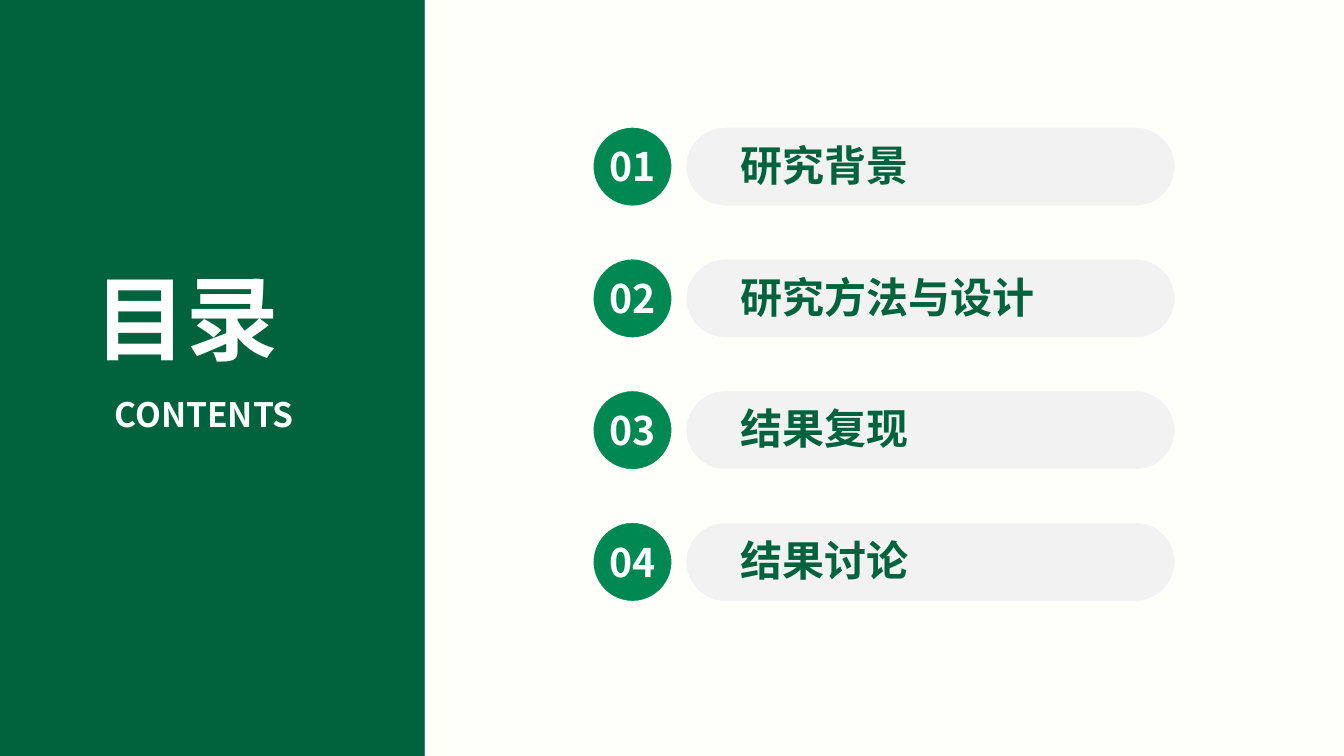
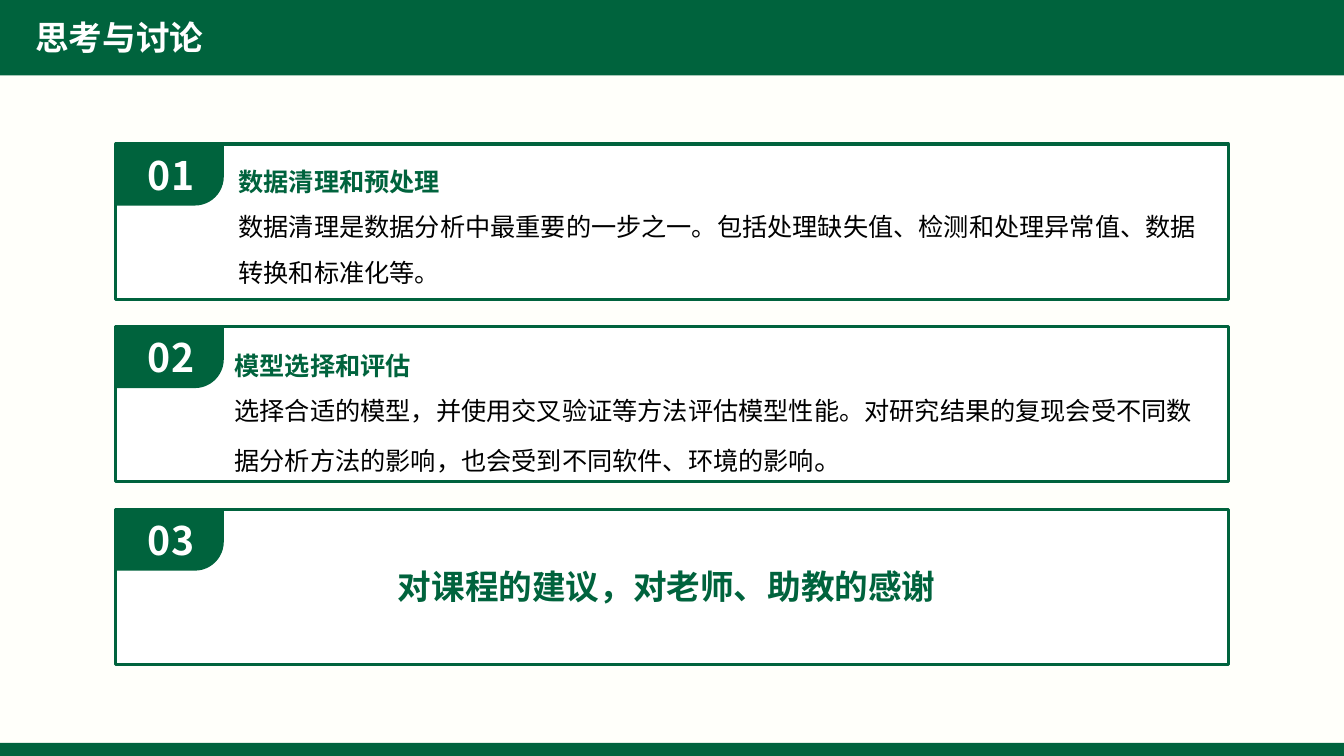
from dataclasses import dataclass

from lxml.etree import SubElement
from pptx import Presentation
from pptx.dml.color import RGBColor
from pptx.enum.shapes import MSO_SHAPE as Preset
from pptx.enum.text import PP_ALIGN as Align
from pptx.oxml.ns import qn
from pptx.util import Cm, Pt


@dataclass(frozen=True)
class Theme:
    paper: str = "FFFFFA"
    white: str = "FFFFFF"
    black: str = "000000"
    deep_green: str = "00633D"
    bright_green: str = "008853"
    pale_grey: str = "F2F2F2"
    edge_blue: str = "476FAA"
    font: str = "Noto Sans CJK SC"
    latin: str = "Arial"
    hero: int = 66
    entry: int = 30
    number: int = 28
    title: int = 24
    last_stop: int = 20
    body: int = 18


THEME = Theme()
WIDTH, HEIGHT = 33.87, 19.05

TOPICS = ["研究背景", "研究方法与设计", "结果复现", "结果讨论"]

# Each card: text offset (x, y), text width, paragraphs of (text, format) spans.
HEADING = {"size": THEME.body, "color": THEME.deep_green, "bold": True, "font": THEME.latin}
BODY = {"size": THEME.body, "color": THEME.black, "font": THEME.latin}
BODY_WIDE = BODY | {"font": THEME.font}
CARDS = [
    (2.84, 0.05, 24.87, [
        [("数据清理和预处理", HEADING)],
        [("数据清理是数据分析中最重要的一步之一。包括处理缺失值、检测和处理异常值、"
          "数据转换和标准化等。", BODY)],
    ]),
    (2.74, 0.08, 24.87, [
        [("模型选择和评估", HEADING)],
        [("选择合适的模型，并使用交叉验证等方法评估模型性能。", BODY),
         ("对研究结果的复现会受不同数据分析方法的影响，也会受到不同软件、环境的影响", BODY_WIDE),
         ("。", BODY_WIDE | {"size": THEME.last_stop})],
    ]),
    (6.86, 0.79, 14.3, [
        [("对课程的建议，对老师、助教的感谢", HEADING | {"size": THEME.title})],
    ]),
]


def rgb(value):
    return RGBColor.from_string(value)


def write(para, text, *, size, color, bold=False, font=THEME.font):
    """Append a formatted span, with the East Asian font set as well."""
    span = para.add_run()
    span.text = text
    span.font.size = Pt(size)
    span.font.bold = bold
    span.font.name = font
    span.font.color.rgb = rgb(color)
    SubElement(span.font._element, qn("a:ea")).set("typeface", THEME.font)


def add_text(page, left, top, width, height, paragraphs, align=Align.LEFT, spacing=None):
    box = page.shapes.add_textbox(Cm(left), Cm(top), Cm(width), Cm(height))
    frame = box.text_frame
    frame.word_wrap = True
    for index, spans in enumerate(paragraphs):
        para = frame.add_paragraph() if index else frame.paragraphs[0]
        para.alignment = align
        para.line_spacing = spacing
        for text, style in spans:
            write(para, text, **style)


def add_label(page, left, top, width, height, text, align=Align.LEFT, **style):
    """Place one bold line of text."""
    add_text(page, left, top, width, height, [[(text, {"bold": True} | style)]], align)


def add_block(page, preset, left, top, width, height, fill, line=None, weight=1):
    shape = page.shapes.add_shape(preset, Cm(left), Cm(top), Cm(width), Cm(height))
    shape.shadow.inherit = False
    shape.fill.solid()
    shape.fill.fore_color.rgb = rgb(fill)
    if line:
        shape.line.color.rgb = rgb(line)
        shape.line.width = Pt(weight)
    else:
        shape.line.fill.background()
    return shape


def add_page(deck):
    page = deck.slides.add_slide(deck.slide_layouts[6])
    page.background.fill.solid()
    page.background.fill.fore_color.rgb = rgb(THEME.paper)
    return page


def add_side_panel(page, left, top, width, height):
    add_block(page, Preset.RECTANGLE, left, top, width, height,
              THEME.deep_green, THEME.edge_blue)
    add_label(page, left + 2.23, top + 6.5, 6.05, 3.07, "目录", Align.JUSTIFY,
              size=THEME.hero, color=THEME.white)
    add_label(page, left + 0.43, top + 9.85, 9.63, 1.27, "CONTENTS", Align.CENTER,
              size=THEME.title, color=THEME.white)


def add_topic(page, left, top, number, topic):
    """Place a numbered disc and its pill."""
    disc, pill_offset = 2, 2.34
    add_block(page, Preset.OVAL, left, top, disc, disc, THEME.bright_green, THEME.white)
    add_label(page, left, top + 0.27, disc, 1.45, f"{number:02}", Align.CENTER,
              size=THEME.number, color=THEME.white)
    pill = add_block(page, Preset.ROUNDED_RECTANGLE, left + pill_offset, top, 12.34, disc,
                     THEME.pale_grey, THEME.white)
    pill.adjustments[0] = 0.5
    add_label(page, left + pill_offset + 1.14, top + 0.19, 8.3, 1.52, topic, Align.JUSTIFY,
              size=THEME.entry, color=THEME.deep_green)


def add_bands(page, title):
    """Place the title band and the footer band."""
    add_block(page, Preset.RECTANGLE, 0, 0, WIDTH, 1.9, THEME.deep_green)
    add_label(page, 0.64, 0.3, 7.34, 1.27, title,
              size=THEME.title, color=THEME.white, font=THEME.latin)
    add_block(page, Preset.RECTANGLE, 0, HEIGHT - 0.33, WIDTH, 0.33, THEME.deep_green)


def add_card(page, left, top, width, height, number, content):
    """Place a framed card with a numbered corner tab."""
    add_block(page, Preset.RECTANGLE, left, top, width, height,
              THEME.white, THEME.deep_green, 2.25)
    # A quarter turn brings the rounded corner to the bottom right.
    tab_width, tab_height = 2.72, 1.55
    inset = (tab_width - tab_height) / 2
    tab = add_block(page, Preset.ROUND_1_RECTANGLE, left + inset, top - inset,
                    tab_height, tab_width, THEME.deep_green)
    tab.rotation = 90
    tab.adjustments[0] = 0.47
    add_label(page, left + 0.56, top + 0.05, 1.96, 1.45, f"{number:02}",
              size=THEME.number, color=THEME.white)
    x, y, text_width, paragraphs = content
    add_text(page, left + x, top + y, text_width, height - y, paragraphs, spacing=1.5)


def build_contents(deck):
    page = add_page(deck)
    add_side_panel(page, -0.1, -0.05, 10.8, 19.2)
    for index, topic in enumerate(TOPICS):
        add_topic(page, 14.94, 3.2 + 3.32 * index, index + 1, topic)


def build_discussion(deck):
    page = add_page(deck)
    add_bands(page, "思考与讨论")
    for index, content in enumerate(CARDS):
        add_card(page, 2.92, 3.63 + 4.6 * index, 28.04, 3.91, index + 1, content)


def main():
    deck = Presentation()
    deck.slide_width, deck.slide_height = Cm(WIDTH), Cm(HEIGHT)
    build_contents(deck)
    build_discussion(deck)
    deck.save("out.pptx")


if __name__ == "__main__":
    main()
